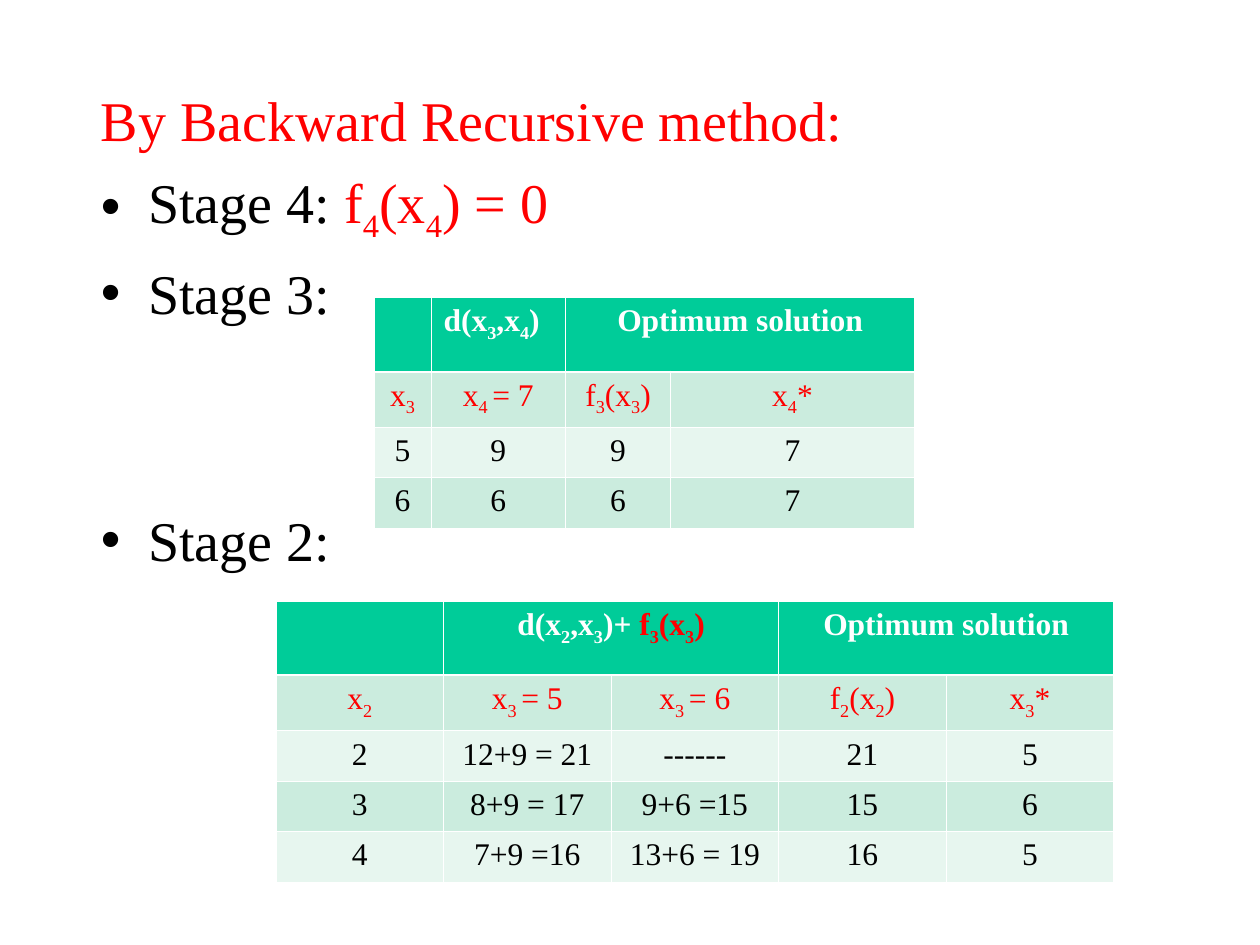
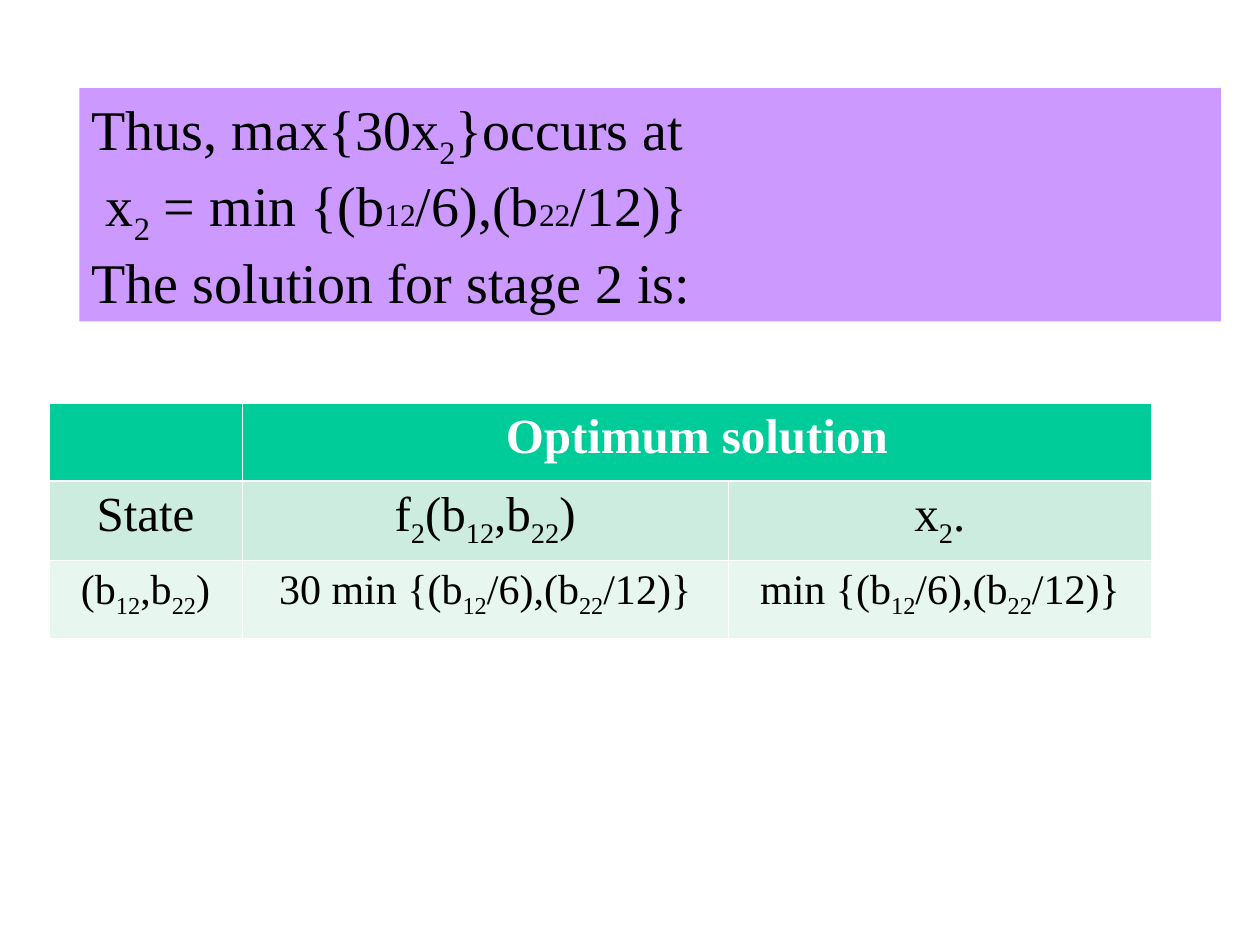
"""Build two slides on backward recursion in dynamic programming."""
from dataclasses import dataclass
from itertools import groupby
from typing import Optional

from lxml import etree
from pptx import Presentation
from pptx.dml.color import RGBColor
from pptx.enum.text import MSO_ANCHOR, MSO_AUTO_SIZE, PP_ALIGN
from pptx.oxml.ns import qn
from pptx.util import Inches, Pt

LEFT, CENTER = PP_ALIGN.LEFT, PP_ALIGN.CENTER
TOP = MSO_ANCHOR.TOP
NO_AUTOFIT = MSO_AUTO_SIZE.NONE
TITLE_AND_CONTENT, BLANK = 1, 6
SUBSCRIPT, ACCENT, SMALL = "~", "|", "¦"


@dataclass(frozen=True)
class Theme:
    font: str = "Times New Roman"
    ink: str = "000000"
    accent: str = "FF0000"
    white: str = "FFFFFF"
    header: str = "00CC99"
    bands: tuple[str, str] = ("CBECDE", "E7F6EF")
    panel: str = "CC99FF"
    body_size: int = 32
    small_size: int = 18
    thin_rule: float = 0.45
    thick_rule: float = 1.5


THEME = Theme()


@dataclass(frozen=True)
class Box:
    left: float
    top: float
    width: float
    height: float

    def lengths(self) -> tuple:
        return tuple(map(Inches, (self.left, self.top, self.width, self.height)))


@dataclass(frozen=True)
class SolutionTable:
    """A grid of marked-up text, where None extends the cell to its left."""
    left: float
    top: float
    columns: tuple[float, ...]
    heights: tuple[float, ...]
    rows: tuple[tuple[Optional[str], ...], ...]
    sizes: tuple[int, ...]
    left_aligned: tuple[tuple[int, int], ...] = ()


STAGE_3 = SolutionTable(
    2.97, 2.36, (0.45, 1.07, 0.83, 1.94), (0.59, 0.44, 0.4, 0.4),
    (("", "d(x~3~,x~4~)", "Optimum solution", None),
     ("|x~3~", "|x~4 ~= 7", "|f~3~(x~3~)", "|x~4~*"),
     ("5", "9", "9", "7"),
     ("6", "6", "6", "7")),
    (18,) * 4, left_aligned=((0, 1),))

STAGE_2 = SolutionTable(
    2.19, 4.77, (1.33,) * 5, (0.59, 0.44, 0.4, 0.4, 0.4),
    (("", "d(x~2~,x~3~)+ |f~3~(x~3~)", None, "Optimum solution", None),
     ("|x~2~", "|x~3 ~= 5", "|x~3 ~= 6", "|f~2~(x~2~)", "|x~3~*"),
     ("2", "12+9 = 21", "------", "21", "5"),
     ("3", "8+9 = 17", "9+6 =15", "15", "6"),
     ("4", "7+9 =16", "13+6 = 19", "16", "5")),
    (18,) * 5)

STATE_SOLUTION = SolutionTable(
    0.39, 3.2, (1.53, 3.86, 3.36), (0.62, 0.63, 0.62),
    (("", "Optimum solution", None),
     ("State", "f~2~(b~12~,b~22~)", "x~2~."),
     ("(b~12~,b~22~)", "30 min {(b~12~/6),(b~22~/12)}", "min {(b~12~/6),(b~22~/12)}")),
    (28, 28, 24))

STAGES = (("Stage 4:| f~4~(x~4~) = 0", 8), ("Stage 3:", 8), ("Stage 2:", 103))
CONCLUSION = ("Thus, max{30x~2~}occurs at",
              " x~2~ = min {(b¦12¦/6),(b¦22¦/12)}",
              "The solution for stage 2 is:")


def write(paragraph, markup: str, size: int, color: str = THEME.ink,
          bold: bool = False) -> None:
    """Add runs, with markers switching subscript, accent colour or small size."""
    active = {SUBSCRIPT: False, ACCENT: False, SMALL: False}
    for is_marker, letters in groupby(markup, lambda letter: letter in active):
        if is_marker:
            for marker in letters:
                active[marker] = not active[marker]
            continue
        run = paragraph.add_run()
        run.text = "".join(letters)
        run.font.name = THEME.font
        run.font.size = Pt(THEME.small_size if active[SMALL] else size)
        run.font.bold = bold
        run.font.color.rgb = RGBColor.from_string(THEME.accent if active[ACCENT] else color)
        if active[SUBSCRIPT]:
            run.font._element.set("baseline", "-25000")


def fill(target, color: str) -> None:
    """Fill a shape or cell with one colour."""
    target.fill.solid()
    target.fill.fore_color.rgb = RGBColor.from_string(color)


def rule_cell(cell, row: int) -> None:
    """Draw white cell edges, heavier between the header and the first row."""
    properties = cell._tc.get_or_add_tcPr()
    thick_edge = {0: "lnB", 1: "lnT"}.get(row)
    for position, edge in enumerate(("lnL", "lnR", "lnT", "lnB")):
        width = THEME.thick_rule if edge == thick_edge else THEME.thin_rule
        line = etree.Element(qn(f"a:{edge}"), w=str(Pt(width)))
        solid = etree.SubElement(line, qn("a:solidFill"))
        etree.SubElement(solid, qn("a:srgbClr"), val=THEME.white)
        properties.insert(position, line)


def add_solution_table(slide, spec: SolutionTable) -> None:
    """Draw a solution table with a header row and alternating bands."""
    place = Box(spec.left, spec.top, sum(spec.columns), sum(spec.heights))
    table = slide.shapes.add_table(
        len(spec.rows), len(spec.columns), *place.lengths()).table
    table.horz_banding = False
    for column, width in zip(table.columns, spec.columns):
        column.width = Inches(width)
    for r, (texts, size) in enumerate(zip(spec.rows, spec.sizes)):
        table.rows[r].height = Inches(spec.heights[r])
        is_header = r == 0
        for c, text in enumerate(texts):
            cell = table.cell(r, c)
            fill(cell, THEME.header if is_header else THEME.bands[(r - 1) % 2])
            rule_cell(cell, r)
            if text is None:
                table.cell(r, c - 1).merge(cell)
                continue
            paragraph = cell.text_frame.paragraphs[0]
            paragraph.alignment = LEFT if (r, c) in spec.left_aligned else CENTER
            write(paragraph, text, size, THEME.white if is_header else THEME.ink, is_header)


def place_text(shape, box: Box):
    """Position a text shape and return its top-anchored frame."""
    shape.left, shape.top, shape.width, shape.height = box.lengths()
    frame = shape.text_frame
    frame.word_wrap = True
    frame.auto_size = NO_AUTOFIT
    frame.vertical_anchor = TOP
    return frame


def add_paragraphs(frame, lines, spacing) -> None:
    """Write one left-aligned body paragraph per line."""
    for index, (line, before) in enumerate(zip(lines, spacing)):
        paragraph = frame.add_paragraph() if index else frame.paragraphs[0]
        paragraph.alignment = LEFT
        paragraph.space_before = Pt(before)
        write(paragraph, line, THEME.body_size)


def build_recursion_slide(deck) -> None:
    """Show the stages and the tables for stages 3 and 2."""
    slide = deck.slides.add_slide(deck.slide_layouts[TITLE_AND_CONTENT])
    heading, stages = slide.placeholders
    add_paragraphs(place_text(heading, Box(0.7, 0.63, 8.5, 0.65)),
                   ("|By Backward Recursive method:",), (0,))
    add_paragraphs(place_text(stages, Box(0.7, 1.28, 8.5, 3.85)), *zip(*STAGES))
    add_solution_table(slide, STAGE_3)
    add_solution_table(slide, STAGE_2)


def build_conclusion_slide(deck) -> None:
    """Show the optimum for stage 2 and its solution table."""
    slide = deck.slides.add_slide(deck.slide_layouts[BLANK])
    box = Box(0.63, 0.7, 9.06, 1.85)
    conclusion = slide.shapes.add_textbox(*box.lengths())
    fill(conclusion, THEME.panel)
    add_paragraphs(place_text(conclusion, box), CONCLUSION, (0,) * len(CONCLUSION))
    add_solution_table(slide, STATE_SOLUTION)


def main() -> None:
    """Build and save the deck."""
    deck = Presentation()
    deck.slide_width, deck.slide_height = Inches(10), Inches(7.5)
    build_recursion_slide(deck)
    build_conclusion_slide(deck)
    deck.save("out.pptx")


if __name__ == "__main__":
    main()
